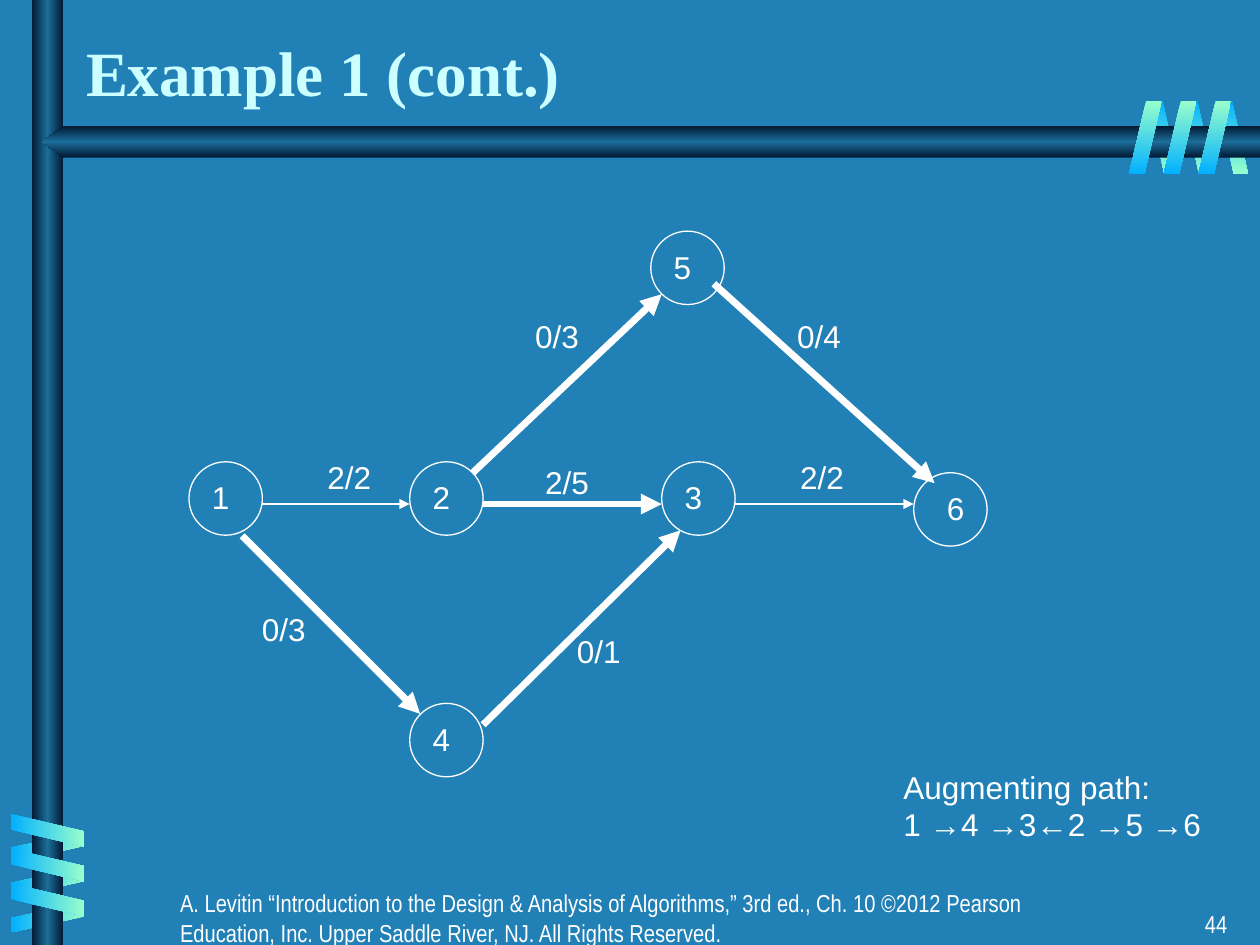
from pptx import Presentation
from pptx.dml.color import RGBColor
from pptx.enum.shapes import MSO_CONNECTOR, MSO_SHAPE
from pptx.enum.text import MSO_ANCHOR, MSO_AUTO_SIZE, PP_ALIGN
from pptx.oxml import parse_xml
from pptx.oxml.ns import nsdecls
from pptx.util import Cm, Pt

OVAL, RECT = MSO_SHAPE.OVAL, MSO_SHAPE.RECTANGLE
RIBBON, BAR_WITH_POINT = MSO_SHAPE.PARALLELOGRAM, MSO_SHAPE.PENTAGON
STRAIGHT = MSO_CONNECTOR.STRAIGHT
LEFT, RIGHT, BOTTOM = PP_ALIGN.LEFT, PP_ALIGN.RIGHT, MSO_ANCHOR.BOTTOM
FIT_SHAPE = MSO_AUTO_SIZE.SHAPE_TO_FIT_TEXT

BACKGROUND, WHITE, TITLE_COLOUR = "2181B7", "FFFFFF", "CCFFFF"
BLUE_TO_GREEN = ["01B0FF", "99FFCC"]
GREEN_TO_BLUE = BLUE_TO_GREEN[::-1]
BAR_COLOURS = ["001932", "1C6D9A", "001932"]
THIN, THICK = 0.75, 4

TITLE = "Example 1 (cont.)"
FOOTER = ("A. Levitin “Introduction to the Design & Analysis of Algorithms,” 3rd ed., "
          "Ch. 10 ©2012 Pearson Education, Inc. Upper Saddle River, NJ. "
          "All Rights Reserved.")
SLIDE_NUMBER = "44"
AUGMENTING_PATH = ["Augmenting path:", "1 →4 →3←2 →5 →6"]

# Lengths are in centimetres.
NODE_SIZE = 1.48
NODES = [  # number, left, top, indent of the number
    ("1", 3.81, 9.31, 0.21),
    ("4", 8.26, 14.18, 0.21),
    ("3", 13.34, 9.31, 0.21),
    ("2", 8.26, 9.31, 0.21),
    ("5", 13.12, 4.66, 0.21),
    ("6", 18.42, 9.53, 0.42),
]
EDGES = [  # flow/capacity, label position, start, end, width
    ("0/3", (5.03, 12.17), (4.88, 10.8), (8.47, 14.39), THICK),
    ("2/2", (6.35, 9.1), (5.29, 10.16), (8.26, 10.16), THIN),
    ("0/3", (10.54, 6.26), (9.53, 9.53), (13.34, 5.93), THICK),
    ("2/5", (10.74, 9.21), (9.74, 10.16), (13.34, 10.16), THICK),
    ("0/1", (11.38, 12.61), (9.74, 14.61), (13.72, 10.69), THICK),
    ("2/2", (15.88, 9.1), (14.82, 10.16), (18.42, 10.16), THIN),
    ("0/4", (15.82, 6.26), (14.39, 5.72), (18.84, 9.74), THICK),
]
# left, top, step right, step down, width, rotation, flipped, colours, angle
BACK_COILS = [
    (23.15, 2.03, 0.7, 0, 0.61, 180, True, BLUE_TO_GREEN, 90),
    (0.66, 16.33, 0, 0.71, 0.61, 90, True, GREEN_TO_BLUE, 0),
]
FRONT_COILS = [
    (0.63, 16, 0, 0.7, 0.66, 270, False, BLUE_TO_GREEN, 0),
    (22.76, 2.03, 0.7, 0, 0.66, 0, False, GREEN_TO_BLUE, 90),
]
TURNS, RIBBON_HEIGHT, RIBBON_SLANT = 3, 1.48, 0.53


def rgb(colour):
    return RGBColor.from_string(colour)


def set_font(paragraph, size, name, colour=WHITE, bold=False):
    font = paragraph.font
    font.size, font.name, font.bold = Pt(size), name, bold
    font.color.rgb = rgb(colour)


def add_text(shapes, lines, box, size=18, font="Arial", align=LEFT, wrap=False):
    frame = shapes.add_textbox(*map(Cm, box)).text_frame
    frame.word_wrap = wrap
    if not wrap:
        frame.auto_size = FIT_SHAPE
    frame.text = "\n".join(lines)
    for paragraph in frame.paragraphs:
        paragraph.alignment = align
        set_font(paragraph, size, font)


def add_gradient_shape(shapes, kind, box, colours, angle, adjustment=None,
                       rotation=0, flipped=False):
    """Add an unlined shape whose gradient keeps its direction when rotated."""
    shape = shapes.add_shape(kind, *map(Cm, box))
    if adjustment is not None:
        shape.adjustments[0] = adjustment
    shape.rotation = rotation
    properties = shape._element.spPr
    if flipped:
        properties.xfrm.set("flipH", "1")
    stops = "".join(
        f'<a:gs pos="{100000 * i // (len(colours) - 1)}"><a:srgbClr val="{colour}"/></a:gs>'
        for i, colour in enumerate(colours))
    properties.prstGeom.addnext(parse_xml(
        f'<a:gradFill {nsdecls("a")} rotWithShape="0"><a:gsLst>{stops}</a:gsLst>'
        f'<a:lin ang="{angle * 60000}" scaled="0"/></a:gradFill>'))
    shape.line.fill.background()
    shape.shadow.inherit = False


def add_coil(slide, left, top, step_x, step_y, width, rotation, flipped, colours, angle):
    coil = slide.shapes.add_group_shape().shapes
    for turn in range(TURNS):
        box = (left + turn * step_x, top + turn * step_y, width, RIBBON_HEIGHT)
        add_gradient_shape(coil, RIBBON, box, colours, angle, RIBBON_SLANT,
                           rotation, flipped)


def add_node(shapes, left, top):
    node = shapes.add_shape(OVAL, Cm(left), Cm(top), Cm(NODE_SIZE), Cm(NODE_SIZE))
    node.fill.background()
    node.line.color.rgb = rgb(WHITE)
    node.line.width = Pt(THIN)
    node.shadow.inherit = False


def add_arrow(shapes, start, end, width):
    arrow = shapes.add_connector(STRAIGHT, *map(Cm, start + end))
    arrow.line.color.rgb = rgb(WHITE)
    arrow.line.width = Pt(width)
    properties = arrow._element.spPr
    properties.get_or_add_ln().append(
        parse_xml(f'<a:tailEnd {nsdecls("a")} type="triangle"/>'))
    properties.append(parse_xml(f'<a:effectLst {nsdecls("a")}/>'))


def add_frame(slide):
    """Draw the two bars with the coils wound around them."""
    for coil in BACK_COILS:
        add_coil(slide, *coil)
    add_gradient_shape(slide.shapes, RECT, (0.64, 0, 0.64, 19.05), BAR_COLOURS, 0)
    add_gradient_shape(slide.shapes, BAR_WITH_POINT, (0.84, 2.54, 24.56, 0.64),
                       BAR_COLOURS, 90, 0.68, flipped=True)
    for coil in FRONT_COILS:
        add_coil(slide, *coil)


def add_network(slide):
    network = slide.shapes.add_group_shape().shapes
    for _, left, top, _ in NODES:
        add_node(network, left, top)
    for _, _, start, end, width in EDGES:
        add_arrow(network, start, end, width)
    for number, left, top, indent in NODES:
        add_text(network, [number], (left + indent, top + 0.21, 0.86, 1.02))
    for flow, position, _, _, _ in EDGES:
        add_text(network, [flow], position + (1.4, 1.02))


def add_title(slide):
    title = slide.shapes.title
    title.left, title.top, title.width, title.height = map(Cm, (1.48, 0.42, 23.92, 1.9))
    title.text_frame.text = TITLE
    title.text_frame.vertical_anchor = BOTTOM
    heading = title.text_frame.paragraphs[0]
    heading.alignment = LEFT
    set_font(heading, 36, "Times New Roman", TITLE_COLOUR, bold=True)


def main():
    deck = Presentation()
    deck.slide_width, deck.slide_height = Cm(25.4), Cm(19.05)
    slide = deck.slides.add_slide(deck.slide_layouts[5])
    slide.background.fill.solid()
    slide.background.fill.fore_color.rgb = rgb(BACKGROUND)

    add_title(slide)
    add_frame(slide)
    add_text(slide.shapes, [FOOTER], (3.38, 17.78, 17.78, 0.84), 14, "Arial Narrow",
             wrap=True)
    add_text(slide.shapes, [SLIDE_NUMBER], (19.71, 18.21, 5.28, 0.84), 14,
             "Arial Narrow", RIGHT, wrap=True)
    add_network(slide)
    add_text(slide.shapes, AUGMENTING_PATH, (17.96, 15.35, 6.5, 1.78))
    deck.save("out.pptx")


if __name__ == "__main__":
    main()
